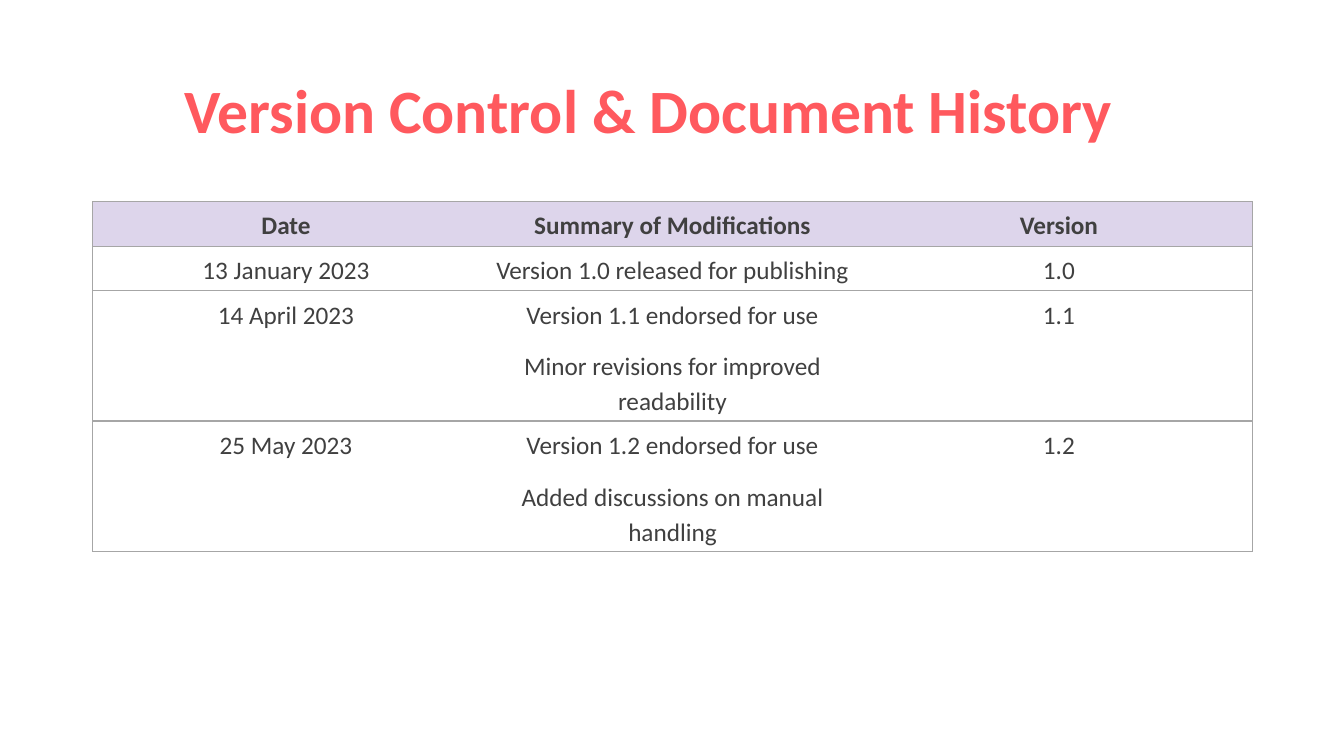
from dataclasses import dataclass

from lxml.etree import SubElement
from pptx import Presentation
from pptx.dml.color import RGBColor
from pptx.enum.text import MSO_ANCHOR, PP_ALIGN
from pptx.oxml.ns import qn
from pptx.slide import Slide
from pptx.table import _Cell
from pptx.text.text import _Paragraph
from pptx.util import Emu, Pt

CORAL = RGBColor(0xFF, 0x59, 0x5E)
LILAC = RGBColor(0xDD, 0xD5, 0xEB)
CHARCOAL = RGBColor(0x40, 0x40, 0x40)
GREY = RGBColor(0xA6, 0xA6, 0xA6)
FONT = "Calibri"

TABLE_LEFT, TABLE_TOP = 92, 200
TABLE_WIDTH, ROW_HEIGHT = 1150, 39


@dataclass(frozen=True)
class Entry:
    date: str
    changes: tuple[str, ...]
    version: str


HEADING = Entry("Date", ("Summary of Modifications",), "Version")
HISTORY = [
    Entry("13 January 2023", ("Version 1.0 released for publishing",), "1.0"),
    Entry("14 April 2023", ("Version 1.1 endorsed for use",
                            "Minor revisions for improved readability"), "1.1"),
    Entry("25 May 2023", ("Version 1.2 endorsed for use",
                          "Added discussions on manual handling"), "1.2"),
]


def px(length: int) -> Emu:
    """Turn px, 100 to the inch, into EMU."""
    return Emu(length * 9144)


def add_span(para: _Paragraph, text: str, size: int, color: RGBColor, bold: bool) -> None:
    para.alignment = PP_ALIGN.CENTER
    span = para.add_run()
    span.text = text
    span.font.name = FONT
    span.font.size = Pt(size)
    span.font.bold = bold
    span.font.color.rgb = color


def add_title(page: Slide, text: str) -> None:
    box = page.shapes.add_textbox(px(92), px(40), px(1103), px(145))
    frame = box.text_frame
    frame.word_wrap = True
    frame.vertical_anchor = MSO_ANCHOR.MIDDLE
    para = frame.paragraphs[0]
    para.line_spacing = 0.9
    add_span(para, text, 44, CORAL, True)


def set_borders(cell: _Cell, visible: str) -> None:
    """Draw the named sides in grey and hide the others."""
    properties = cell._tc.get_or_add_tcPr()
    for side in "LRTB":
        line = SubElement(properties, qn(f"a:ln{side}"), w=str(Pt(1)))
        if side in visible:
            fill = SubElement(line, qn("a:solidFill"))
            SubElement(fill, qn("a:srgbClr"), val=str(GREY))
        else:
            SubElement(line, qn("a:noFill"))


def fill_cell(cell: _Cell, lines: tuple[str, ...], sides: str, heading: bool) -> None:
    set_borders(cell, sides)
    if heading:
        cell.fill.solid()
        cell.fill.fore_color.rgb = LILAC
    else:
        cell.fill.background()
    frame = cell.text_frame
    for index, text in enumerate(lines):
        para = frame.add_paragraph() if index else frame.paragraphs[0]
        para.line_spacing = 1.14
        para.space_before = Pt(6 if index else 0)
        para.space_after = Pt(6)
        add_span(para, text, 18, CHARCOAL, heading)


def add_history(page: Slide, entries: list[Entry]) -> None:
    table = page.shapes.add_table(
        len(entries), 3, px(TABLE_LEFT), px(TABLE_TOP),
        px(TABLE_WIDTH), px(ROW_HEIGHT * len(entries))).table
    table.first_row = False
    table.horz_banding = False
    for row, entry in enumerate(entries):
        columns = ((entry.date,), entry.changes, (entry.version,))
        for column, (lines, sides) in enumerate(zip(columns, ("LTB", "TB", "RTB"))):
            fill_cell(table.cell(row, column), lines, sides, row == 0)


def main() -> None:
    deck = Presentation()
    deck.slide_width, deck.slide_height = px(1333), px(750)
    page = deck.slides.add_slide(deck.slide_layouts[6])

    # Title
    add_title(page, "Version Control & Document History")

    # Version table
    add_history(page, [HEADING, *HISTORY])

    deck.save("out.pptx")


if __name__ == "__main__":
    main()
